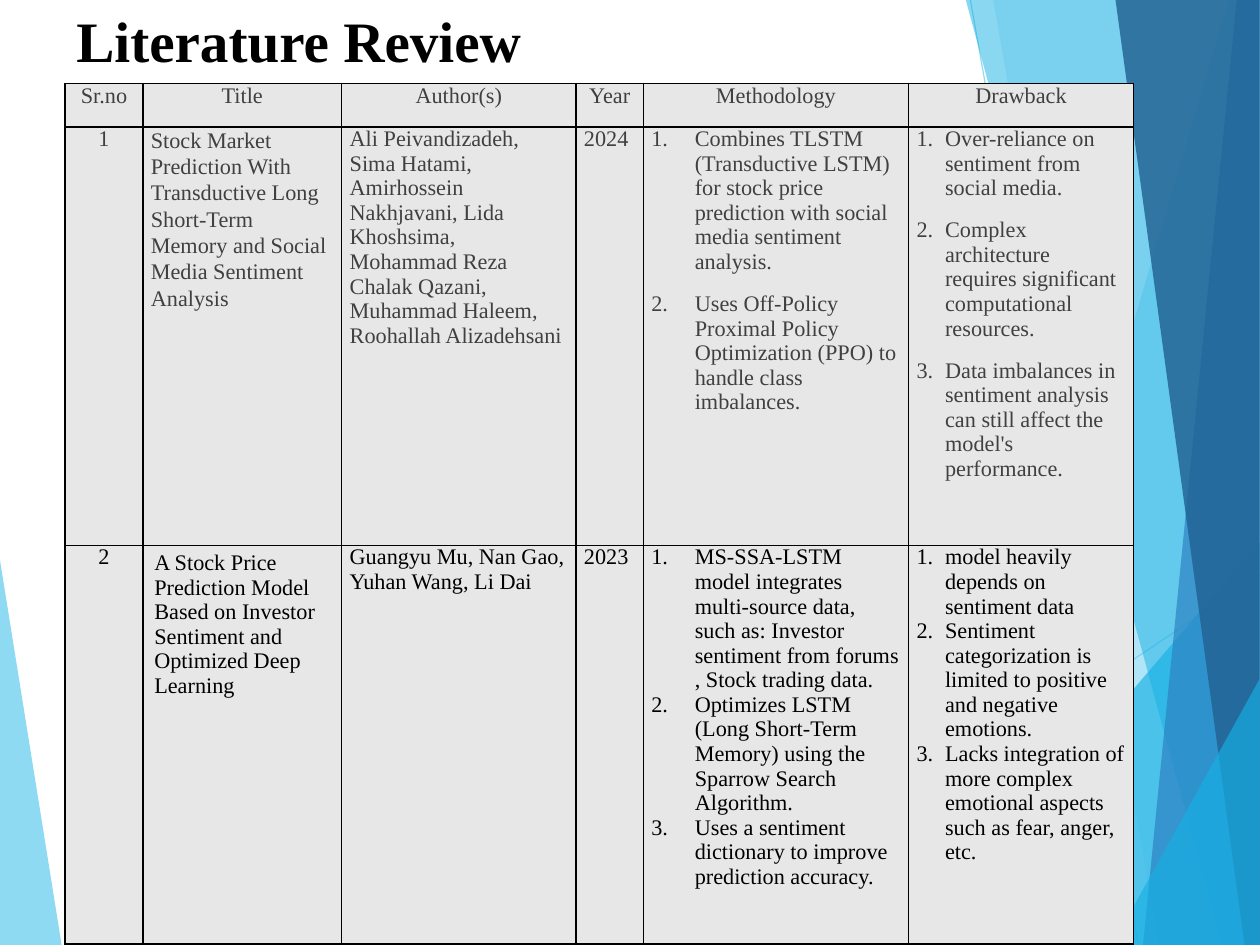
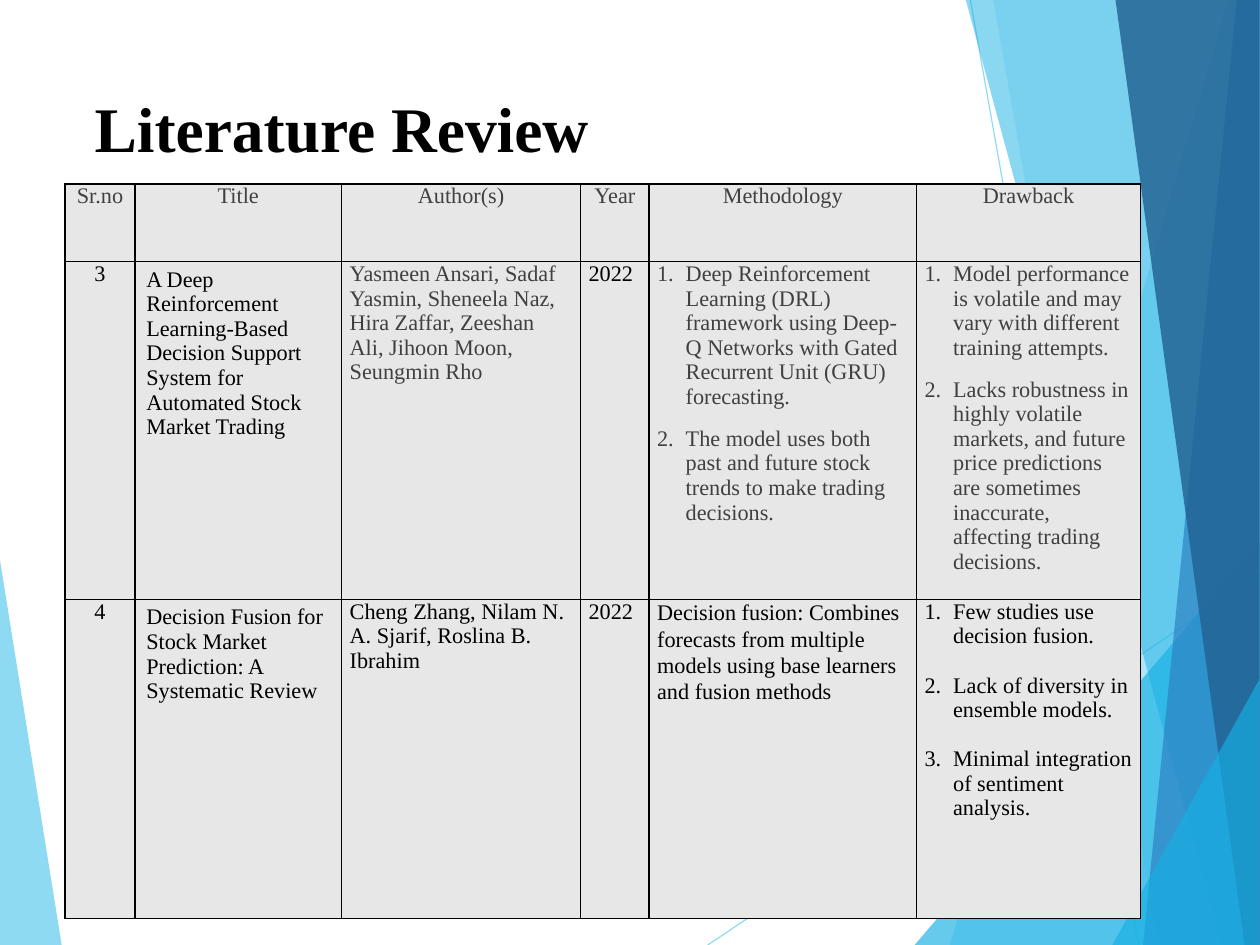
from dataclasses import dataclass

from lxml import etree
from pptx import Presentation
from pptx.dml.color import RGBColor
from pptx.enum.shapes import MSO_CONNECTOR
from pptx.enum.text import MSO_ANCHOR, PP_ALIGN
from pptx.oxml.ns import qn
from pptx.util import Cm, Inches, Pt


@dataclass(frozen=True)
class Theme:
    font: str = "Times New Roman"
    black: str = "000000"
    gray: str = "404040"
    cell: str = "E7E7E7"
    sky: str = "5FCBEF"
    cyan: str = "17B0E4"
    blue: str = "2E83C3"
    navy: str = "226292"
    body: int = 14
    rule: int = 1
    thin: float = 0.75


@dataclass(frozen=True)
class Entry:
    """One table cell; a tuple of texts becomes a numbered list."""
    text: object
    ink: str
    centred: bool = False
    leading: float = 0    # line spacing, 0 for the default
    inset: tuple = (0.07, 0)
    indent: float = 0
    gap: float = 0        # points between list items


THEME = Theme()
PAGE = Cm(28), Cm(21)
WIDTH, HEIGHT = 11.02, 8.27    # the page in inches, for the backdrop
GRAY, BLACK = THEME.gray, THEME.black


def centred(text, ink):
    return Entry(text, ink, centred=True)


def padded(text):
    return Entry(text, BLACK, inset=(0.1, 0.05))


def loose(text, ink):
    return Entry(text, ink, leading=1.07)


def numbered(ink, gap, *items, indent=0.25):
    return Entry(items, ink, indent=indent, gap=gap)


# Content
HEADINGS = ("Sr.no", "Title", "Author(s)", "Year", "Methodology", "Drawback")

REVIEWS = [
    dict(
        title="Literature Review", title_size=36, title_box=(0.57, 0, 9.91, 0.64),
        origin=(0.57, 0.73),
        columns=(0.68, 1.74, 2.05, 0.59, 2.32, 1.97), rows=(0.38, 3.66, 3.49),
        papers=[
            (centred("1", GRAY),
             loose("Stock Market Prediction With Transductive Long Short-Term Memory "
                   "and Social Media Sentiment Analysis", GRAY),
             Entry("Ali Peivandizadeh, Sima Hatami, Amirhossein Nakhjavani, Lida Khoshsima, "
                   "Mohammad Reza Chalak Qazani, Muhammad Haleem, Roohallah Alizadehsani", GRAY),
             Entry("2024", GRAY),
             numbered(GRAY, 11,
                      "Combines TLSTM (Transductive LSTM) for stock price prediction with "
                      "social media sentiment analysis.",
                      "Uses Off-Policy Proximal Policy Optimization (PPO) to handle class "
                      "imbalances.", indent=0.38),
             numbered(GRAY, 11,
                      "Over-reliance on sentiment from social media.",
                      "Complex architecture requires significant computational resources.",
                      "Data imbalances in sentiment analysis can still affect the model's "
                      "performance.")),
            (centred("2", BLACK),
             padded("A Stock Price Prediction Model Based on Investor Sentiment and "
                    "Optimized Deep Learning"),
             Entry("Guangyu Mu, Nan Gao, Yuhan Wang, Li Dai", BLACK),
             Entry("2023", BLACK),
             numbered(BLACK, 0,
                      "MS-SSA-LSTM model integrates multi-source data, such as: Investor "
                      "sentiment from forums , Stock trading data.",
                      "Optimizes LSTM (Long Short-Term Memory) using the Sparrow Search "
                      "Algorithm.",
                      "Uses a sentiment dictionary to improve prediction accuracy.",
                      indent=0.38),
             numbered(BLACK, 0,
                      "model heavily depends on sentiment data",
                      "Sentiment categorization is limited to positive and negative emotions.",
                      "Lacks integration of more complex emotional aspects such as fear, "
                      "anger, etc.")),
        ],
    ),
    dict(
        title="Literature Review", title_size=40, title_box=(0.73, 0.73, 7.65, 1.59),
        origin=(0.57, 1.61),
        columns=(0.61, 1.81, 2.09, 0.6, 2.34, 1.96), rows=(0.68, 2.95, 2.79),
        papers=[
            (centred("3", BLACK),
             padded("A Deep Reinforcement Learning-Based Decision Support System for "
                    "Automated Stock Market Trading"),
             Entry("Yasmeen Ansari, Sadaf Yasmin, Sheneela Naz, Hira Zaffar, Zeeshan Ali, "
                   "Jihoon Moon, Seungmin Rho", GRAY),
             Entry("2022", BLACK),
             numbered(GRAY, 11,
                      "Deep Reinforcement Learning (DRL) framework using Deep-Q Networks with "
                      "Gated Recurrent Unit (GRU) forecasting.",
                      "The model uses both past and future stock trends to make trading "
                      "decisions."),
             numbered(GRAY, 11,
                      "Model performance is volatile and may vary with different training "
                      "attempts.",
                      "Lacks robustness in highly volatile markets, and future price "
                      "predictions are sometimes inaccurate, affecting trading decisions.")),
            (centred("4", BLACK),
             padded("Decision Fusion for Stock Market Prediction: A Systematic Review"),
             Entry("Cheng Zhang, Nilam N. A. Sjarif, Roslina B. Ibrahim", BLACK),
             Entry("2022", BLACK),
             loose("Decision fusion: Combines forecasts from multiple models using base "
                   "learners and fusion methods", BLACK),
             numbered(BLACK, 15.5,
                      "Few studies use decision fusion.",
                      "Lack of diversity in ensemble models.",
                      "Minimal integration of sentiment analysis.")),
        ],
    ),
]

# Backdrop, from back to front: colour, opacity in percent, corners
LEFT_FACET = (THEME.sky, 70, [(0, 4.9), (0.54, HEIGHT), (0, HEIGHT)])
BEAMS = [((6.19, HEIGHT), (WIDTH, 5.03)), ((8.49, 0), (9.96, HEIGHT))]
RIGHT_FACETS = [
    (THEME.sky, 36, [(10.75, 0), (8.31, HEIGHT), (WIDTH, HEIGHT), (WIDTH, 0)]),
    (THEME.sky, 20, [(8.69, 0), (10.14, HEIGHT), (WIDTH, HEIGHT), (WIDTH, 0)]),
    (THEME.cyan, 66, [(8, HEIGHT), (WIDTH, 4.74), (WIDTH, HEIGHT)]),
    (THEME.cyan, 50, [(8.45, 0), (10.69, HEIGHT), (WIDTH, HEIGHT), (WIDTH, 0)]),
    (THEME.blue, 70, [(10.82, 0), (10, HEIGHT), (WIDTH, HEIGHT), (WIDTH, 0)]),
    (THEME.navy, 82, [(9.76, 0), (10.89, HEIGHT), (WIDTH, HEIGHT), (WIDTH, 0)]),
    (THEME.cyan, 66, [(9.73, HEIGHT), (WIDTH, 5.94), (WIDTH, HEIGHT)]),
]


def inches(values):
    return [Inches(value) for value in values]


def paint(fill, color, opacity=100):
    fill.solid()
    fill.fore_color.rgb = RGBColor.from_string(color)
    if opacity < 100:
        color_node = fill._xPr.find(qn("a:solidFill"))[0]
        etree.SubElement(color_node, qn("a:alpha"), val=str(opacity * 1000))


def style_runs(paragraph, size, color, bold=False):
    for run in paragraph.runs:
        run.font.name = THEME.font
        run.font.size = Pt(size)
        run.font.bold = bold
        run.font.color.rgb = RGBColor.from_string(color)


# Backdrop drawing
def add_facet(slide, color, opacity, corners):
    start, *others = [inches(corner) for corner in corners]
    outline = slide.shapes.build_freeform(*start)
    outline.add_line_segments(others, close=True)
    facet = outline.convert_to_shape()
    facet.shadow.inherit = False
    paint(facet.fill, color, opacity)
    facet.line.fill.background()


def add_beam(slide, begin, end):
    beam = slide.shapes.add_connector(MSO_CONNECTOR.STRAIGHT, *inches(begin + end))
    beam.line.width = Pt(THEME.thin)
    paint(beam.line.fill, THEME.sky, 70)
    etree.SubElement(beam._element.spPr, qn("a:effectLst"))


def add_backdrop(slide):
    add_facet(slide, *LEFT_FACET)
    for begin, end in BEAMS:
        add_beam(slide, begin, end)
    for facet in RIGHT_FACETS:
        add_facet(slide, *facet)


def add_title(slide, text, size, box):
    frame = slide.shapes.add_textbox(*inches(box)).text_frame
    frame.word_wrap = True
    frame.vertical_anchor = MSO_ANCHOR.TOP
    frame.text = text
    style_runs(frame.paragraphs[0], size, THEME.black, bold=True)


# Table drawing
def add_borders(cell):
    properties = cell._tc.get_or_add_tcPr()
    for place, side in enumerate(("a:lnL", "a:lnR", "a:lnT", "a:lnB")):
        border = etree.Element(qn(side), w=str(Pt(THEME.rule)))
        ink = etree.SubElement(border, qn("a:solidFill"))
        etree.SubElement(ink, qn("a:srgbClr"), val=THEME.black)
        properties.insert(place, border)


def number_paragraph(paragraph, indent):
    properties = paragraph._p.get_or_add_pPr()
    properties.set("marL", str(Inches(indent)))
    properties.set("indent", str(-Inches(indent)))
    etree.SubElement(properties, qn("a:buFont"), typeface="+mj-lt")
    etree.SubElement(properties, qn("a:buAutoNum"), type="arabicPeriod")


def fill_cell(cell, entry):
    paint(cell.fill, THEME.cell)
    add_borders(cell)
    side, edge = inches(entry.inset)
    cell.margin_left = cell.margin_right = side
    cell.margin_top = cell.margin_bottom = edge
    cell.vertical_anchor = MSO_ANCHOR.TOP
    items = (entry.text,) if isinstance(entry.text, str) else entry.text
    frame = cell.text_frame
    frame.text = "\n".join(items)
    for place, paragraph in enumerate(frame.paragraphs):
        if entry.indent:
            number_paragraph(paragraph, entry.indent)
        if entry.leading:
            paragraph.line_spacing = entry.leading
        if place and entry.gap:
            paragraph.space_before = Pt(entry.gap)
        paragraph.alignment = PP_ALIGN.CENTER if entry.centred else PP_ALIGN.LEFT
        style_runs(paragraph, THEME.body, entry.ink)


def add_review_table(slide, origin, columns, rows, papers):
    entries = [[centred(heading, GRAY) for heading in HEADINGS], *papers]
    table = slide.shapes.add_table(
        len(rows), len(columns), *inches((*origin, sum(columns), sum(rows)))).table
    table.first_row = table.horz_banding = False
    for column, width in zip(table.columns, columns):
        column.width = Inches(width)
    for row, height, row_entries in zip(table.rows, rows, entries):
        row.height = Inches(height)
        for cell, entry in zip(row.cells, row_entries):
            fill_cell(cell, entry)


def main():
    deck = Presentation()
    deck.slide_width, deck.slide_height = PAGE
    for review in REVIEWS:
        slide = deck.slides.add_slide(deck.slide_layouts[6])
        add_backdrop(slide)
        add_title(slide, review["title"], review["title_size"], review["title_box"])
        add_review_table(slide, review["origin"], review["columns"],
                         review["rows"], review["papers"])
    deck.save("out.pptx")


if __name__ == "__main__":
    main()
